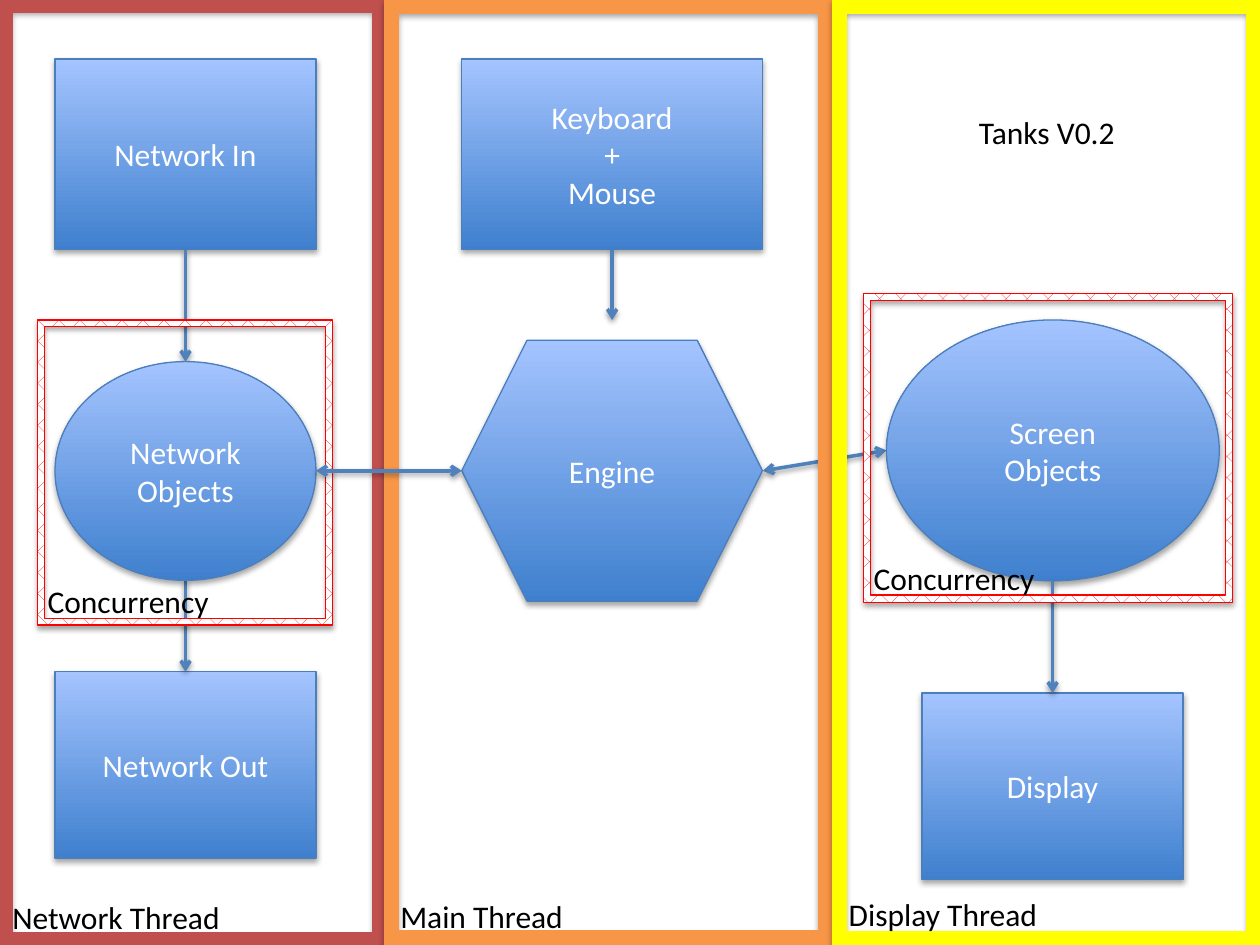
import pptx
import pptx.dml.color
import pptx.enum.dml
import pptx.enum.shapes
import pptx.enum.text
import pptx.oxml
import pptx.oxml.ns
import pptx.util
from lxml import etree

Cm = pptx.util.Cm
Pt = pptx.util.Pt
RGBColor = pptx.dml.color.RGBColor
Shape = pptx.enum.shapes.MSO_SHAPE
qn = pptx.oxml.ns.qn

GRADIENT_BOTTOM = RGBColor(0x3F, 0x80, 0xCE)
GRADIENT_TOP = RGBColor(0xA4, 0xC4, 0xFF)
NODE_LINE = RGBColor(0x4B, 0x7E, 0xBC)
ARROW_BLUE = RGBColor(0x4F, 0x81, 0xBD)
NETWORK_RED = RGBColor(0xC0, 0x50, 0x4D)
MAIN_ORANGE = RGBColor(0xF7, 0x96, 0x46)
DISPLAY_YELLOW = RGBColor(0xFF, 0xFF, 0x00)
ZONE_RED = RGBColor(0xFF, 0x00, 0x00)
WHITE = RGBColor(0xFF, 0xFF, 0xFF)
BLACK = RGBColor(0x00, 0x00, 0x00)

SLIDE_WIDTH, SLIDE_HEIGHT = 25.4, 19.05
NODE_WIDTH = 5.26
LABEL_HEIGHT = 1.02


def add_shadow(shape, opacity, distance):
    """Give a shape or connector a soft shadow straight below it."""
    shape.shadow.inherit = False if hasattr(shape, "shadow") else None
    set_shadow(shape, opacity, distance)


def set_shadow(shape, opacity, distance):
    """Write the outer shadow into the effect list of the shape."""
    properties = shape._element.spPr
    effects = properties.find(qn("a:effectLst"))
    if effects is None:
        effects = etree.SubElement(properties, qn("a:effectLst"))
    shadow = etree.SubElement(effects, qn("a:outerShdw"), blurRad=str(Pt(3.15)),
                              dist=str(Pt(distance)), dir="5400000", rotWithShape="0")
    color = etree.SubElement(shadow, qn("a:srgbClr"), val=str(BLACK))
    etree.SubElement(color, qn("a:alpha"), val=str(opacity * 1000))


def write_text(frame, lines, color, alignment):
    """Write one paragraph with one run for each line."""
    for index, line in enumerate(lines):
        paragraph = frame.add_paragraph() if index else frame.paragraphs[0]
        paragraph.alignment = alignment
        run = paragraph.add_run()
        run.text = line
        run.font.name = "Calibri"
        run.font.size = Pt(18)
        run.font.color.rgb = color


def add_outlined_shape(slide, kind, box, line_color):
    """Add a preset shape with a thin outline and a shadow."""
    shape = slide.shapes.add_shape(kind, *map(Cm, box))
    shape.line.color.rgb = line_color
    shape.line.width = Pt(0.75)
    shape.shadow.inherit = False
    set_shadow(shape, 35, 1.8)
    return shape


def add_node(slide, kind, box, *lines):
    """Add a blue gradient shape with centred white text."""
    node = add_outlined_shape(slide, kind, box, NODE_LINE)
    node.fill.gradient()
    node.fill.gradient_angle = 90
    for stop, color in zip(node.fill.gradient_stops, (GRADIENT_BOTTOM, GRADIENT_TOP)):
        stop.color.rgb = color
    node.text_frame.vertical_anchor = pptx.enum.text.MSO_ANCHOR.MIDDLE
    write_text(node.text_frame, lines, WHITE, pptx.enum.text.PP_ALIGN.CENTER)


def add_arrow(slide, start, end, double=False):
    """Add an arrow between two points, with heads at both ends if double."""
    arrow = slide.shapes.add_connector(pptx.enum.shapes.MSO_CONNECTOR.STRAIGHT,
                                       *map(Cm, start + end))
    arrow.line.color.rgb = ARROW_BLUE
    arrow.line.width = Pt(2)
    for tag in ("a:headEnd", "a:tailEnd") if double else ("a:tailEnd",):
        etree.SubElement(arrow.line._ln, qn(tag), type="arrow")
    set_shadow(arrow, 38, 1.6)


def fill_label(shape, box, text):
    """Place a text shape and give it one unwrapped black line."""
    shape.left, shape.top, shape.width, shape.height = map(Cm, box)
    frame = shape.text_frame
    frame.word_wrap = False
    frame.auto_size = pptx.enum.text.MSO_AUTO_SIZE.SHAPE_TO_FIT_TEXT
    frame.vertical_anchor = pptx.enum.text.MSO_ANCHOR.TOP
    write_text(frame, [text], BLACK, pptx.enum.text.PP_ALIGN.LEFT)


def add_label(slide, left, top, width, text):
    """Add a one-line text box."""
    box = (left, top, width, LABEL_HEIGHT)
    fill_label(slide.shapes.add_textbox(*map(Cm, box)), box, text)


def add_thread_frame(slide, box, color):
    """Add the solid frame around one thread."""
    frame = add_outlined_shape(slide, Shape.FRAME, box, color)
    frame.adjustments[0] = 0.031
    frame.fill.solid()
    frame.fill.fore_color.rgb = color


def add_concurrency_zone(slide, box):
    """Add the patterned frame and its label at the lower left."""
    left, top, width, height = box
    zone = add_outlined_shape(slide, Shape.FRAME, box, ZONE_RED)
    zone.adjustments[0] = 0.023
    zone.fill.patterned()
    zone.fill.pattern = pptx.enum.dml.MSO_PATTERN.DIAGONAL_BRICK
    zone.fill.fore_color.rgb = ZONE_RED
    zone.fill.back_color.rgb = WHITE
    add_label(slide, left - 0.05, top + height - 1.0, 3.81, "Concurrency")


def add_network_thread(slide, box):
    """Draw the network thread inside its box."""
    left, top, width, height = box
    node_left = left + 1.11
    center = node_left + NODE_WIDTH / 2
    add_thread_frame(slide, box, NETWORK_RED)
    add_node(slide, Shape.RECTANGLE, (node_left, top + 1.19, NODE_WIDTH, 3.84), "Network In")
    add_node(slide, Shape.RECTANGLE, (node_left, top + 13.54, NODE_WIDTH, 3.76), "Network Out")
    add_arrow(slide, (center, top + 5.03), (center, top + 7.29))
    add_arrow(slide, (center, top + 11.7), (center, top + 13.54))
    add_node(slide, Shape.OVAL, (node_left, top + 7.29, NODE_WIDTH, 4.41), "Network", "Objects")
    add_concurrency_zone(slide, (left + 0.76, top + 6.45, 5.94, 6.15))
    add_label(slide, left, top + height - 1.07, 4.75, "Network Thread")


def add_main_thread(slide, box):
    """Draw the main thread inside its box."""
    left, top, width, height = box
    node_left, node_width = left + 1.56, 6.06
    center = node_left + node_width / 2
    add_thread_frame(slide, box, MAIN_ORANGE)
    add_node(slide, Shape.HEXAGON, (node_left, top + 6.86, node_width, 5.26), "Engine")
    add_node(slide, Shape.RECTANGLE, (node_left, top + 1.19, node_width, 3.84),
             "Keyboard", "+", "Mouse")
    add_arrow(slide, (center, top + 5.03), (center, top + 6.45))
    add_label(slide, left + 0.07, top + height - 1.1, 3.84, "Main Thread")


def add_display_thread(slide, box):
    """Draw the display thread and the title inside its box."""
    left, top, width, height = box
    center = left + 4.43
    add_thread_frame(slide, box, DISPLAY_YELLOW)
    add_node(slide, Shape.OVAL, (left + 1.08, top + 6.45, 6.71, 5.26), "Screen", "Objects")
    add_node(slide, Shape.RECTANGLE, (center - NODE_WIDTH / 2, top + 13.97, NODE_WIDTH, 3.76),
             "Display")
    add_arrow(slide, (center, top + 11.7), (center, top + 13.97))
    add_concurrency_zone(slide, (left + 0.62, top + 5.92, 7.44, 6.22))
    add_label(slide, left + 0.07, top + height - 1.14, 4.37, "Display Thread")
    fill_label(slide.shapes.title, (left + 2.69, top + 2.16, 3.33, LABEL_HEIGHT), "Tanks V0.2")


def main():
    """Build the thread diagram and save it."""
    presentation = pptx.Presentation()
    presentation.slide_width = Cm(SLIDE_WIDTH)
    presentation.slide_height = Cm(SLIDE_HEIGHT)
    slide = presentation.slides.add_slide(presentation.slide_layouts.get_by_name("Title Only"))
    add_arrow(slide, (15.38, 9.49), (17.87, 9.08), double=True)
    left = 0
    for add_thread, width in ((add_network_thread, 7.75), (add_main_thread, 9.04),
                              (add_display_thread, 8.61)):
        add_thread(slide, (left, 0, width, SLIDE_HEIGHT))
        left += width
    add_arrow(slide, (9.31, 9.49), (6.37, 9.49), double=True)
    presentation.save("out.pptx")


if __name__ == "__main__":
    main()
